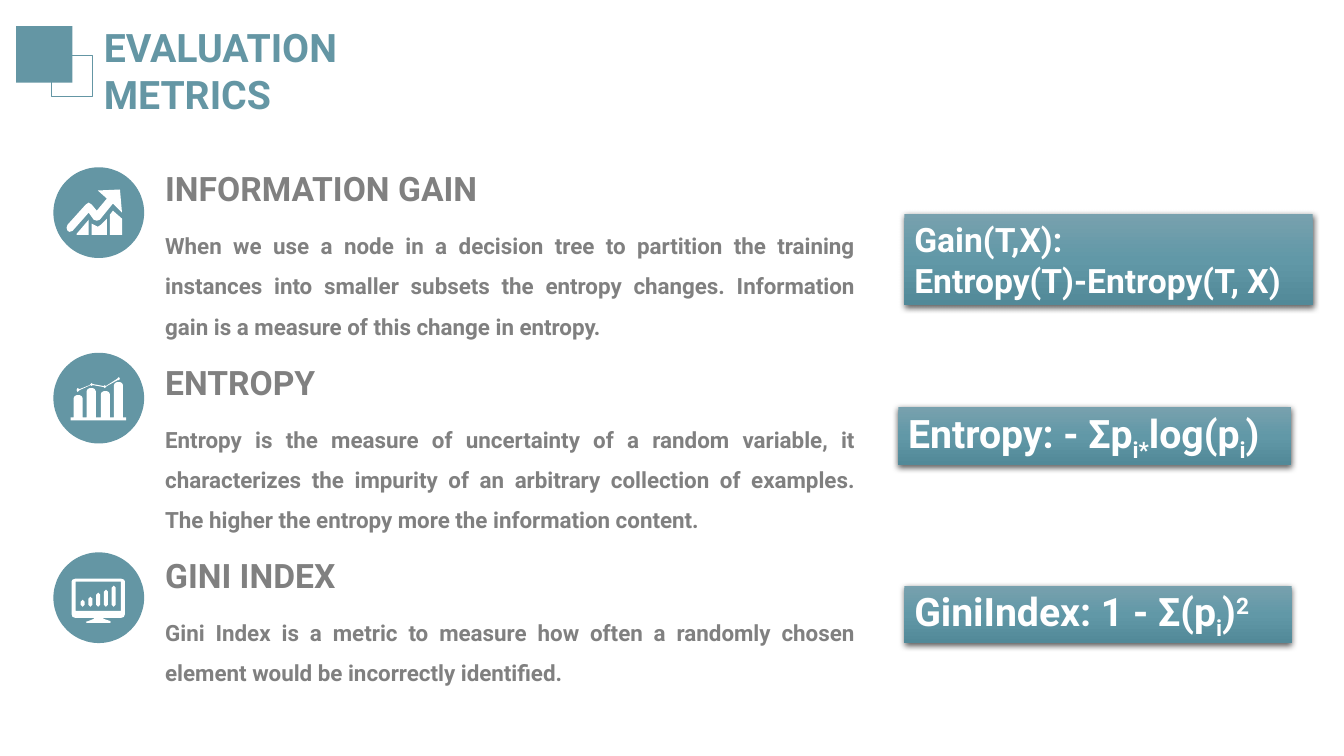
"""Build the slide on evaluation metrics for decision trees."""
from copy import deepcopy
from pptx import Presentation
from pptx.dml.color import RGBColor
from pptx.enum.shapes import MSO_SHAPE as Kind
from pptx.enum.text import MSO_ANCHOR as Anchor, MSO_AUTO_SIZE as Fit, PP_ALIGN as Align
from pptx.oxml import parse_xml
from pptx.oxml.ns import nsdecls, qn
from pptx.util import Inches, Pt

TEAL = RGBColor(0x64, 0x96, 0xA4)
GRAY = RGBColor(0x80, 0x80, 0x80)
WHITE = RGBColor(0xFF, 0xFF, 0xFF)
SHADE = [(0, RGBColor(0x78, 0xA1, 0xAE)), (0.5, RGBColor(0x61, 0x98, 0xA7)),
         (1, RGBColor(0x52, 0x89, 0x98))]


def write(box, *lines, size, color, align=Align.LEFT, gap=None, anchor=Anchor.TOP):
    frame = box.text_frame
    frame.word_wrap = True
    frame.auto_size = Fit.NONE
    frame.vertical_anchor = anchor
    for i, line in enumerate(lines):
        para = frame.add_paragraph() if i else frame.paragraphs[0]
        para.alignment = align
        if gap:
            para.line_spacing = gap
        for text, base in [(line, 0)] if isinstance(line, str) else line:
            run = para.add_run()
            run.text = text
            font = run.font
            font.name, font.size, font.bold = "Roboto", Pt(size), True
            font.color.rgb = color
            if base:
                run._r.get_or_add_rPr().set("baseline", str(base * 1000))


def draw(group, *loops):
    pen = None
    for loop in loops:
        pts = [(Inches(x), Inches(y)) for x, y in loop]
        if pen:
            pen.move_to(*pts[0])
        else:
            pen = group.shapes.build_freeform(*pts[0])
        pen.add_line_segments(pts[1:], close=True)
    form = pen.convert_to_shape()
    form.shadow.inherit = False
    form.fill.solid()
    form.fill.fore_color.rgb = WHITE
    form.line.fill.background()


deck = Presentation()
deck.slide_width, deck.slide_height = Inches(13.33), Inches(7.5)
slide = deck.slides.add_slide(deck.slide_layouts[5])
shapes = slide.shapes

title = shapes.title
title.left, title.top = Inches(0.93), Inches(0.18)
title.width, title.height = Inches(4.1), Inches(1.04)
write(title, "EVALUATION METRICS", size=28, color=TEAL)

mark = shapes.add_group_shape()
for left, top, side, solid in [(0.51, 0.55, 0.41, False), (0.16, 0.26, 0.56, True)]:
    tile = mark.shapes.add_shape(Kind.RECTANGLE, Inches(left), Inches(top),
                                 Inches(side), Inches(side))
    tile.shadow.inherit = False
    if solid:
        tile.fill.solid()
        tile.fill.fore_color.rgb = TEAL
        tile.line.fill.background()
    else:
        tile.fill.background()
        tile.line.color.rgb = TEAL
        tile.line.width = Pt(1)

METRICS = [
    ("INFORMATION GAIN", 2.12, 1.31, 1.66,
     "When we use a node in a decision tree to partition the training instances into "
     "smaller subsets the entropy changes. Information gain is a measure of this change "
     "in entropy."),
    ("ENTROPY", 4.04, 1.31, 3.5,
     "Entropy is the measure of uncertainty of a random variable, it characterizes the "
     "impurity of an arbitrary collection of examples. The higher the entropy more the "
     "information content."),
    ("GINI INDEX", 5.96, 0.91, 5.48,
     "Gini Index is a metric to measure how often a randomly chosen element would be "
     "incorrectly identified."),
]
for name, top, high, disc, about in METRICS:
    body = shapes.add_textbox(Inches(1.54), Inches(top), Inches(7.04), Inches(high))
    write(body, about, size=16, color=GRAY, align=Align.JUSTIFY, gap=1.5)
    head = shapes.add_textbox(Inches(1.54), Inches(top - 0.5), Inches(3.45), Inches(0.5))
    write(head, name, size=24, color=GRAY)
    disk = shapes.add_shape(Kind.OVAL, Inches(0.53), Inches(disc), Inches(0.9), Inches(0.9))
    disk.shadow.inherit = False
    disk.fill.solid()
    disk.fill.fore_color.rgb = TEAL
    disk.line.fill.background()

growth = shapes.add_group_shape()
draw(growth, [(1.12, 2.09), (1.09, 2.13), (1.09, 2.33), (1.21, 2.33), (1.21, 2.17)])
draw(growth, [(0.88, 2.11), (0.72, 2.29), (0.69, 2.3), (0.67, 2.29), (0.66, 2.26),
              (0.67, 2.23), (0.85, 2.03), (0.88, 2.01), (0.91, 2.03), (0.96, 2.09),
              (1.06, 1.97), (0.97, 1.89), (1.19, 1.88), (1.21, 2.11), (1.12, 2.02),
              (0.99, 2.18), (0.96, 2.19), (0.93, 2.18)])
draw(growth, [(1, 2.23), (0.97, 2.25), (0.91, 2.22), (0.91, 2.33), (1.06, 2.33), (1.06, 2.17)])
draw(growth, [(0.76, 2.33), (0.88, 2.33), (0.88, 2.18), (0.76, 2.32)])

chart = shapes.add_group_shape()
draw(chart, [(0.76, 3.87), (0.77, 3.85), (0.79, 3.86), (0.89, 3.82), (0.91, 3.8),
             (0.92, 3.81), (1.03, 3.83), (1.04, 3.82), (1.05, 3.83), (1.16, 3.76),
             (1.18, 3.74), (1.19, 3.76), (1.18, 3.77), (1.17, 3.77), (1.06, 3.83),
             (1.04, 3.85), (1.03, 3.84), (0.92, 3.82), (0.91, 3.83), (0.9, 3.82),
             (0.79, 3.87), (0.77, 3.89)])
bars = [(0.7, 4.17), (0.7, 4.14)]
for left, top in [(0.73, 3.92), (0.86, 3.85), (1, 3.88), (1.13, 3.79)]:
    bars += [(left, 4.14), (left, top + 0.03), (left + 0.01, top + 0.01), (left + 0.03, top),
             (left + 0.06, top), (left + 0.08, top + 0.01), (left + 0.09, top + 0.03),
             (left + 0.09, 4.14)]
draw(chart, bars + [(1.25, 4.14), (1.25, 4.17)])

screen = shapes.add_group_shape()
draw(screen,
     [(0.75, 5.74), (0.72, 5.75), (0.71, 5.77), (0.71, 6.09), (0.72, 6.12), (0.75, 6.13),
      (1.2, 6.13), (1.23, 6.12), (1.24, 6.09), (1.24, 5.77), (1.23, 5.75), (1.2, 5.74)],
     [(0.75, 5.77), (1.2, 5.77), (1.2, 6.06), (0.75, 6.06)])
draw(screen, [(0.93, 6.13), (0.93, 6.14), (0.88, 6.16), (0.85, 6.17), (0.86, 6.18),
              (1.09, 6.18), (1.1, 6.17), (1.09, 6.16), (1.03, 6.14), (1.02, 6.13)])
for i, top in enumerate([5.95, 5.92, 5.88, 5.85, 5.81]):
    left = 0.8 + 0.077 * i
    draw(screen, [(left, top + 0.02), (left + 0.02, top), (left + 0.04, top + 0.02),
                  (left + 0.04, 6), (left + 0.02, 6.02), (left, 6)])

RULES = [
    (8.97, 2.12, 4.05, 0.91, 24, ["Gain(T,X):", "Entropy(T)-Entropy(T, X)"]),
    (8.91, 4.04, 3.9, 0.57, 28,
     [[("Entropy: - Σp", 0), ("i*", -25), ("log(p", 0), ("i", -25), (")", 0)]]),
    (8.97, 5.81, 3.84, 0.57, 28,
     [[("GiniIndex: 1 - Σ(p", 0), ("i", -25), (")", 0), ("2", 30)]]),
]
for left, top, wide, high, size, lines in RULES:
    card = shapes.add_shape(Kind.RECTANGLE, Inches(left), Inches(top), Inches(wide), Inches(high))
    card.line.fill.background()
    card.fill.gradient()
    card.fill.gradient_angle = 270
    props = card._element.spPr
    stops = props.find(qn("a:gradFill")).find(qn("a:gsLst"))
    stops.append(deepcopy(stops[0]))
    for stop, (pos, tint) in zip(card.fill.gradient_stops, SHADE):
        stop.position = pos
        stop.color.rgb = tint
    card.shadow.inherit = False
    props.find(qn("a:effectLst")).append(parse_xml(
        f'<a:outerShdw {nsdecls("a")} blurRad="57150" dist="19050" dir="5400000" algn="ctr" '
        'rotWithShape="0"><a:srgbClr val="000000"><a:alpha val="63000"/></a:srgbClr>'
        '</a:outerShdw>'))
    write(card, *lines, size=size, color=WHITE, anchor=Anchor.MIDDLE)

deck.save("out.pptx")
